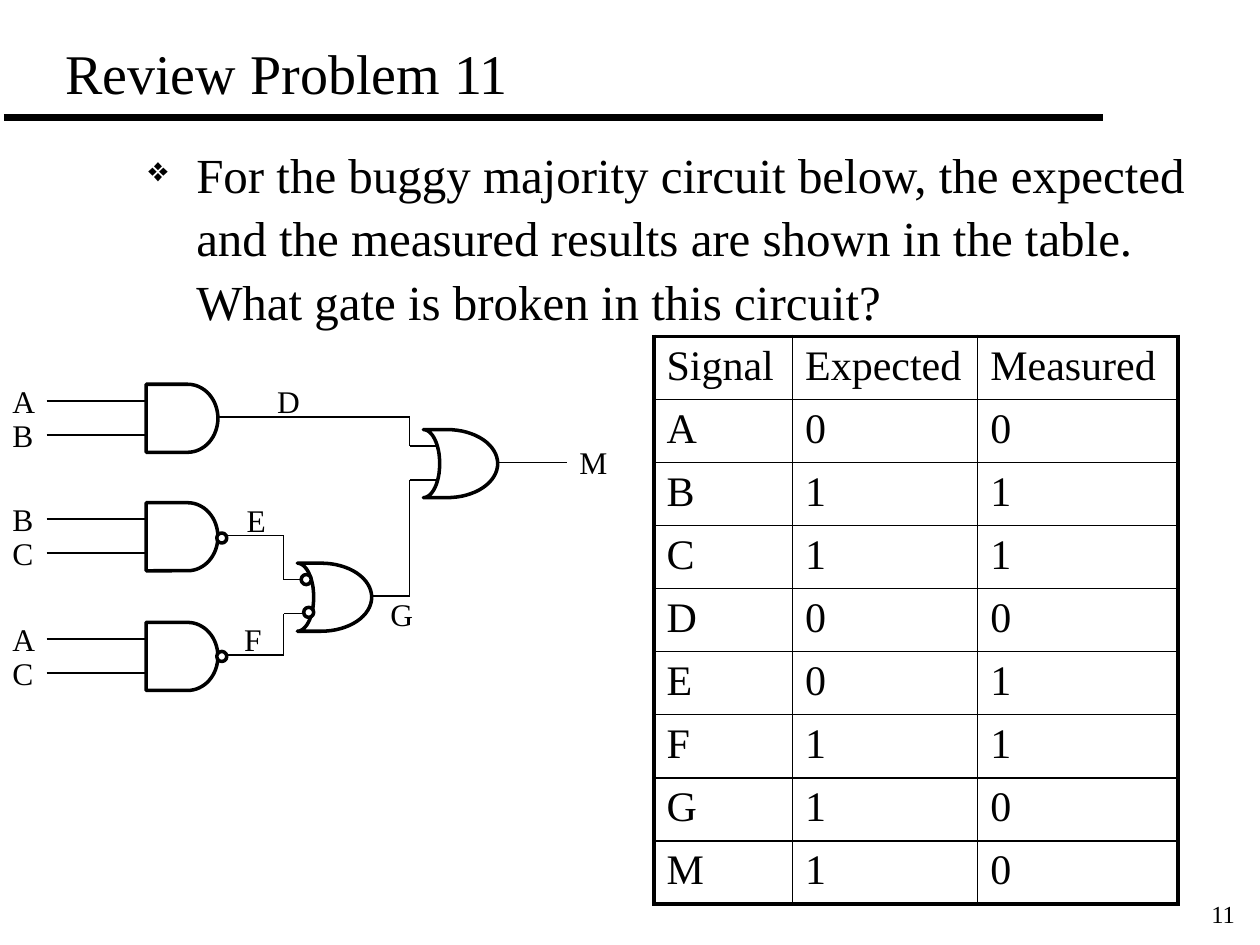
from math import cos, pi, sin

from lxml.etree import SubElement
from pptx import Presentation
from pptx.dml.color import RGBColor
from pptx.enum.shapes import MSO_CONNECTOR as Connector, MSO_SHAPE as Preset
from pptx.enum.text import MSO_ANCHOR as Anchor, PP_ALIGN as Align
from pptx.oxml.ns import qn
from pptx.util import Inches, Pt

BLACK = "000000"
WHITE = "FFFFFF"
FONT = "Times New Roman"
GATE_HEIGHT = 0.54
UPPER_PIN, OUTPUT_PIN, LOWER_PIN = 0.13, 0.26, 0.4
BUBBLE = 0.08
READINGS = [
    ("Signal", "Expected", "Measured"),
    ("A", "0", "0"),
    ("B", "1", "1"),
    ("C", "1", "1"),
    ("D", "0", "0"),
    ("E", "0", "1"),
    ("F", "1", "1"),
    ("G", "1", "0"),
    ("M", "1", "0"),
]


def color(value):
    return RGBColor.from_string(value)


def format_text(paragraph, text, size, align=Align.LEFT):
    paragraph.text = text
    paragraph.alignment = align
    paragraph.font.size = Pt(size)
    paragraph.font.name = FONT
    paragraph.font.color.rgb = color(BLACK)


def add_text(slide, text, left, top, width, height, size=18, wrap=False,
             anchor=Anchor.TOP, align=Align.LEFT, bullet=None, spacing=None):
    frame = slide.shapes.add_textbox(
        Inches(left), Inches(top), Inches(width), Inches(height)).text_frame
    frame.word_wrap = wrap
    frame.vertical_anchor = anchor
    paragraph = frame.paragraphs[0]
    if bullet:
        properties = paragraph._p.get_or_add_pPr()
        properties.set("marL", str(Inches(0.38)))
        properties.set("indent", str(-Inches(0.38)))
        SubElement(properties, qn("a:buSzPct"), val="70000")
        SubElement(properties, qn("a:buChar"), char=bullet)
    format_text(paragraph, text, size, align)
    if spacing:
        paragraph.line_spacing = spacing


def add_wire(slide, *points, weight=1):
    for (x1, y1), (x2, y2) in zip(points, points[1:]):
        segment = slide.shapes.add_connector(
            Connector.STRAIGHT, Inches(x1), Inches(y1), Inches(x2), Inches(y2))
        segment.line.color.rgb = color(BLACK)
        segment.line.width = Pt(weight)
        SubElement(segment._element.spPr, qn("a:effectLst"))


def half_ellipse(x, top, reach, steps=32):
    radius = GATE_HEIGHT / 2
    angles = [pi * step / steps for step in range(steps + 1)]
    return [(x + reach * sin(a), top + radius - radius * cos(a)) for a in angles]


def add_outline(slide, points):
    corners = [(Inches(x), Inches(y)) for x, y in points]
    builder = slide.shapes.build_freeform(*corners[0])
    builder.add_line_segments(corners[1:], close=True)
    gate = builder.convert_to_shape()
    gate.shadow.inherit = False
    gate.fill.background()
    gate.line.color.rgb = color(BLACK)
    gate.line.width = Pt(2)


def add_and_gate(slide, left, top):
    front = half_ellipse(left + 0.33, top, 0.24)
    add_outline(slide, [(left, top), *front, (left, top + GATE_HEIGHT)])


def add_or_gate(slide, left, top):
    front = half_ellipse(left + 0.19, top, 0.4)
    back = half_ellipse(left, top, 0.13)
    add_outline(slide, front + back[::-1])


def add_bubble(slide, left, top):
    bubble = slide.shapes.add_shape(
        Preset.OVAL, Inches(left), Inches(top), Inches(BUBBLE), Inches(BUBBLE))
    bubble.shadow.inherit = False
    bubble.fill.solid()
    bubble.fill.fore_color.rgb = color(WHITE)
    bubble.line.color.rgb = color(BLACK)
    bubble.line.width = Pt(2)


def add_circuit(slide):
    and_left, or_left, final_left = 1.16, 2.36, 3.36
    or_top, final_top = 4.47, 3.41
    and_tops = (3.05, 3.99, 4.94)

    for top, names in zip(and_tops, ("AB", "BC", "AC")):
        add_and_gate(slide, and_left, top)
        for name, pin in zip(names, (UPPER_PIN, LOWER_PIN)):
            add_wire(slide, (0.37, top + pin), (and_left, top + pin))
            add_text(slide, name, 0, top + pin - 0.2, 0.38, 0.4)

    add_or_gate(slide, or_left, or_top)
    add_or_gate(slide, final_left, final_top)

    d, e, f = [top + OUTPUT_PIN for top in and_tops]
    g = or_top + OUTPUT_PIN
    m = final_top + OUTPUT_PIN
    for start_x, start_y, turn, end_x, end_y in (
        (1.73, d, 3.25, final_left + 0.11, final_top + UPPER_PIN),
        (1.8, e, 2.25, or_left + 0.11, or_top + UPPER_PIN),
        (1.8, f, 2.25, or_left + 0.11, or_top + LOWER_PIN),
        (2.95, g, 3.25, final_left + 0.11, final_top + LOWER_PIN),
    ):
        add_wire(slide, (start_x, start_y), (turn, start_y), (turn, end_y), (end_x, end_y))
    add_wire(slide, (3.95, m), (4.5, m))

    for left, top in ((1.72, 4.23), (1.72, 5.17), (2.39, 4.56), (2.41, 4.82)):
        add_bubble(slide, left, top)
    for name, left, top, width in (
        ("D", 2.1, 2.98, 0.38),
        ("E", 1.86, 3.93, 0.35),
        ("F", 1.84, 4.87, 0.34),
        ("G", 3, 4.67, 0.38),
        ("M", 4.5, 3.47, 0.42),
    ):
        add_text(slide, name, left, top, width, 0.4)


def set_borders(cell, weights):
    properties = cell._tc.get_or_add_tcPr()
    for position, (side, weight) in enumerate(weights.items()):
        border = SubElement(properties, qn(f"a:ln{side}"), w=str(Pt(weight)))
        fill = SubElement(border, qn("a:solidFill"))
        SubElement(fill, qn("a:srgbClr"), val=BLACK)
        properties.insert(position, border)


def add_readings(slide):
    widths = (1.1, 1.47, 1.59)
    row_height = 0.47
    last_row, last_column = len(READINGS) - 1, len(widths) - 1
    table = slide.shapes.add_table(
        len(READINGS), len(widths), Inches(5.19), Inches(2.67),
        Inches(sum(widths)), Inches(row_height * len(READINGS))).table
    table.first_row = table.horz_banding = False
    for column, width in zip(table.columns, widths):
        column.width = Inches(width)
    for r, reading in enumerate(READINGS):
        table.rows[r].height = Inches(row_height)
        for c, value in enumerate(reading):
            cell = table.cell(r, c)
            format_text(cell.text_frame.paragraphs[0], value, 24)
            cell.fill.background()
            edges = {"L": c == 0, "R": c == last_column, "T": r == 0, "B": r == last_row}
            set_borders(cell, {side: 2.25 if outer else 1 for side, outer in edges.items()})


def main():
    deck = Presentation()
    deck.slide_width, deck.slide_height = Inches(10), Inches(7.5)
    slide = deck.slides.add_slide(deck.slide_layouts[6])

    add_wire(slide, (0.03, 0.93), (8.75, 0.93), weight=4)
    add_text(slide, "Review Problem 11", 0.42, 0.33, 8.46, 0.56,
             size=32, wrap=True, anchor=Anchor.BOTTOM)
    add_text(slide, "For the buggy majority circuit below, the expected and the measured "
             "results are shown in the table. What gate is broken in this circuit?",
             1.08, 1.06, 8.5, 1.6, size=28, wrap=True, bullet="❖", spacing=1.08)
    add_readings(slide)
    add_circuit(slide)
    add_text(slide, "11", 9.48, 7.09, 0.42, 0.33, size=14,
             anchor=Anchor.MIDDLE, align=Align.RIGHT)
    deck.save("out.pptx")


if __name__ == "__main__":
    main()
